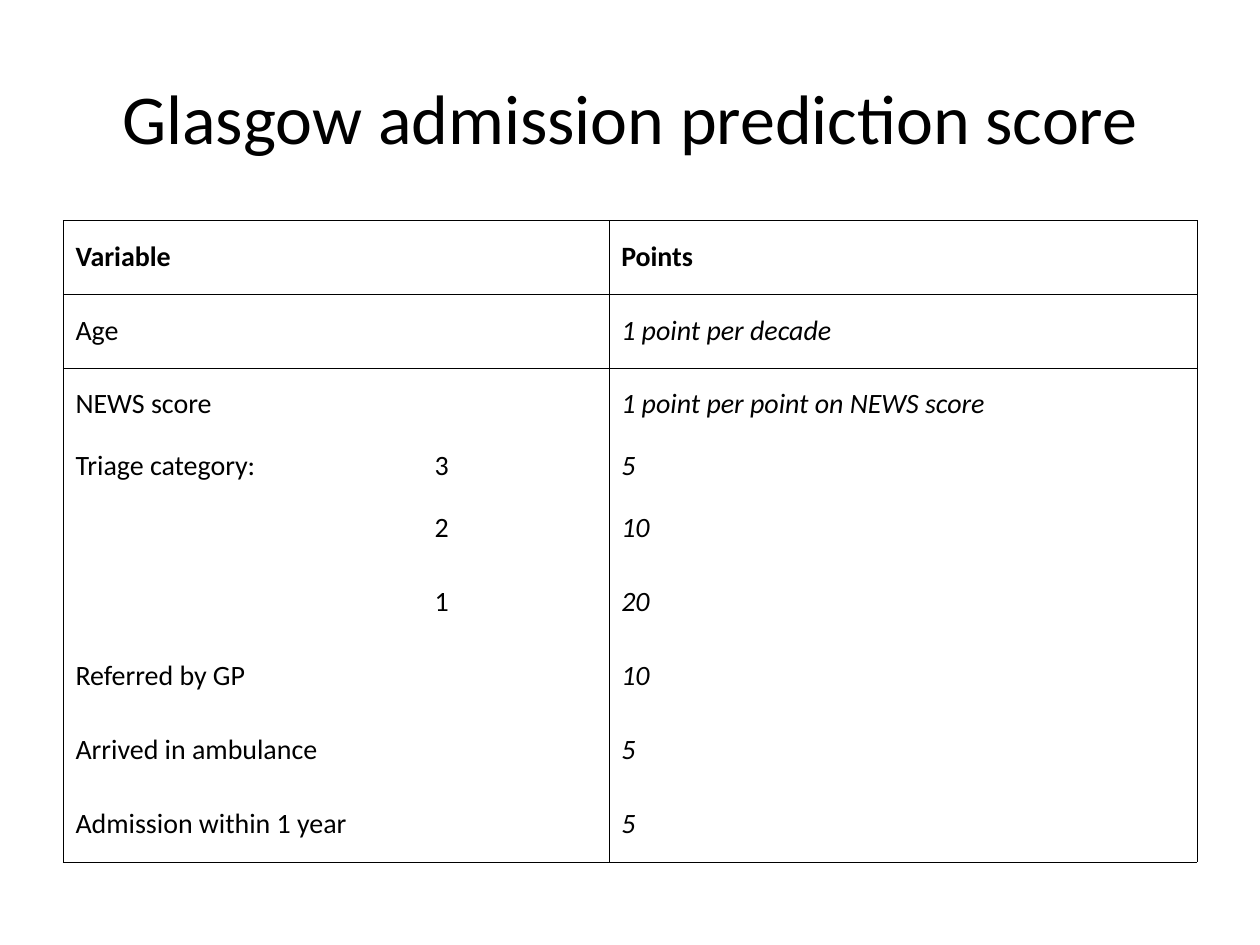
from lxml.etree import SubElement
from pptx import Presentation
from pptx.dml.color import RGBColor
from pptx.enum.text import MSO_ANCHOR, MSO_AUTO_SIZE, PP_ALIGN
from pptx.oxml.ns import qn
from pptx.util import Cm, Pt

BLACK = RGBColor(0, 0, 0)
FONT = "Calibri"
PLAIN = "{2D5ABB26-0587-4C30-8999-92F81FD0307C}"  # no style, no grid
HEAD = ("Variable", "", "Points")
ROWS = (
    ("Age", "", "1 point per decade"),
    ("NEWS score", "", "1 point per point on NEWS score"),
    ("Triage category:", "3", "5"),
    ("", "2", "10"),
    ("", "1", "20"),
    ("Referred by GP", "", "10"),
    ("Arrived in ambulance", "", "5"),
    ("Admission within 1 year", "", "5"),
)
WIDTHS = (7.24, 3.76, 11.86)
TALL, SHORT = 1.49, 1.01
SHORT_ROW = 3


def write(frame, text, size=16, bold=False, italic=False,
          align=PP_ALIGN.LEFT, space=None):
    para = frame.paragraphs[0]
    para.alignment = align
    para.line_spacing = space
    if text:
        run = para.add_run()
        run.text = text
        font = run.font
        font.name, font.size = FONT, Pt(size)
        font.bold, font.italic = bold, italic
        font.color.rgb = BLACK
    return para


def rule(cell, sides):
    """Draw hairlines on the given sides, a string drawn from L, R, T, B."""
    props = cell._tc.get_or_add_tcPr()
    for side in "LRTB":
        if side in sides:
            line = SubElement(props, qn(f"a:ln{side}"), w=str(Pt(0.06)))
            fill = SubElement(line, qn("a:solidFill"))
            SubElement(fill, qn("a:srgbClr"), val=str(BLACK))


def edges(row, col, last):
    """Frame the table, split off the header and the points column."""
    sides = "LR" if col == 2 else "LR"[col]
    if row < 2:
        sides += "T"
    if row in (0, last):
        sides += "B"
    return sides


def add_title(slide, left, top, width, height):
    title = slide.shapes.title
    title.left, title.top, title.width, title.height = left, top, width, height
    frame = title.text_frame
    frame.auto_size = MSO_AUTO_SIZE.NONE
    frame.vertical_anchor = MSO_ANCHOR.MIDDLE
    write(frame, "Glasgow admission prediction score", size=40,
          align=PP_ALIGN.CENTER)


def add_scores(slide, left, top, width, height):
    data = (HEAD, *ROWS)
    shape = slide.shapes.add_table(len(data), len(HEAD),
                                   left, top, width, height)
    table = shape.table
    table.first_row = table.horz_banding = False
    table._tbl.tblPr.find(qn("a:tableStyleId")).text = PLAIN
    for col, size in zip(table.columns, WIDTHS):
        col.width = Cm(size)
    for r, texts in enumerate(data):
        table.rows[r].height = Cm(SHORT if r == SHORT_ROW else TALL)
        for c, text in enumerate(texts):
            cell = table.cell(r, c)
            cell.vertical_anchor = MSO_ANCHOR.MIDDLE
            para = write(cell.text_frame, text, bold=r == 0,
                         italic=r > 0 and c == 2, space=0.87)
            props = para._p.get_or_add_pPr()
            props.set("marL", str(Cm(0.95)))
            props.set("indent", str(Cm(-0.95)))
            rule(cell, edges(r, c, len(data) - 1))
            cell.fill.background()


def main():
    deck = Presentation()
    deck.slide_width, deck.slide_height = Cm(25.4), Cm(19.05)
    slide = deck.slides.add_slide(deck.slide_layouts[5])
    left, width = Cm(1.27), Cm(22.86)
    add_title(slide, left, Cm(0.76), width, Cm(3.18))
    add_scores(slide, left, Cm(4.44), width, Cm(8 * TALL + SHORT))
    deck.save("out.pptx")


if __name__ == "__main__":
    main()
